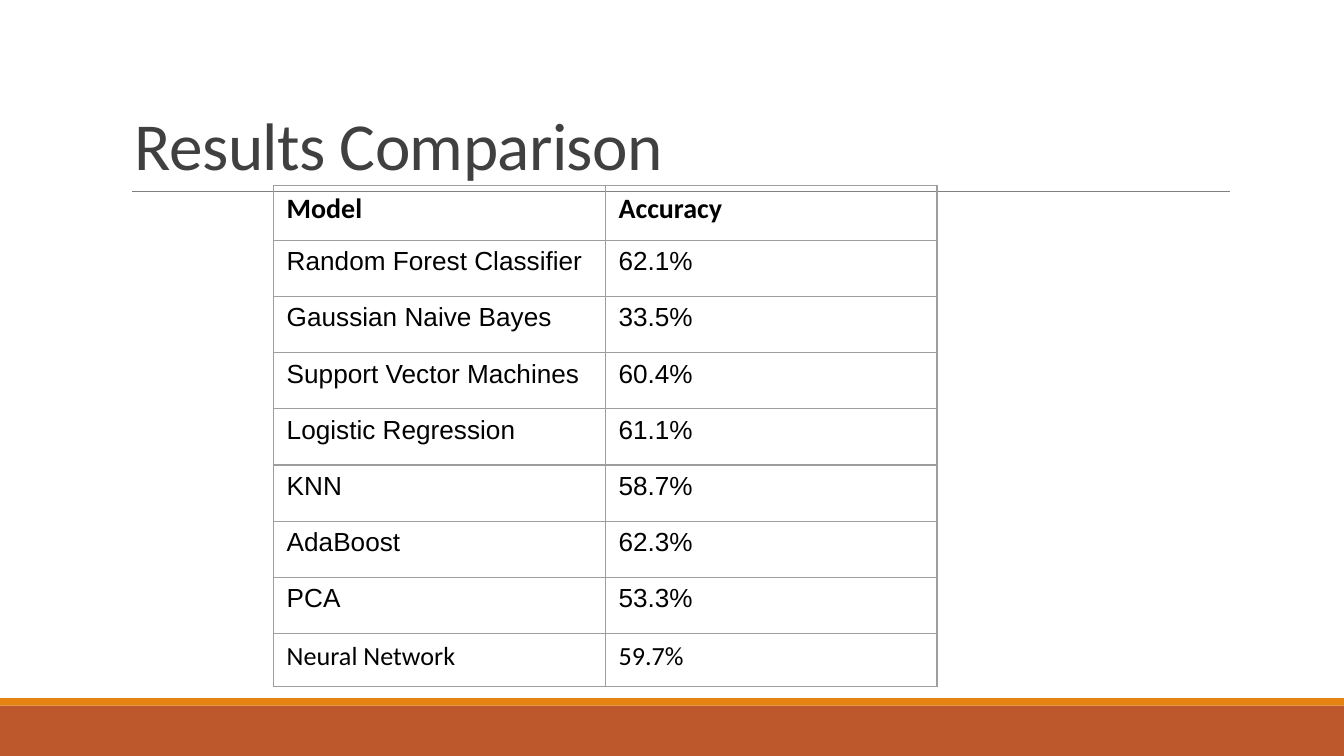
from dataclasses import dataclass

from lxml.etree import SubElement
from pptx import Presentation
from pptx.dml.color import RGBColor as RGB
from pptx.enum.shapes import MSO_CONNECTOR as Connector, MSO_SHAPE as Shape
from pptx.enum.text import MSO_ANCHOR as Anchor, MSO_AUTO_SIZE as AutoSize, PP_ALIGN as Align
from pptx.oxml.ns import qn
from pptx.util import Pt


@dataclass(frozen=True)
class Theme:
    band: RGB = RGB.from_string("BD582C")
    stripe: RGB = RGB.from_string("E48312")
    rule: RGB = RGB.from_string("808080")
    title: RGB = RGB.from_string("404040")
    text: RGB = RGB.from_string("000000")
    border: str = "9E9E9E"
    heading_font: str = "Calibri"
    body_font: str = "Arial"
    title_size: float = 36
    header_size: float = 15
    body_size: float = 14


THEME = Theme()
WIDTH, HEIGHT = 720, 405
RESULTS = [
    ("Model", "Accuracy"),
    ("Random Forest Classifier", "62.1%"),
    ("Gaussian Naive Bayes", "33.5%"),
    ("Support Vector Machines", "60.4%"),
    ("Logistic Regression", "61.1%"),
    ("KNN", "58.7%"),
    ("AdaBoost", "62.3%"),
    ("PCA", "53.3%"),
    ("Neural Network", "59.7%"),
]


def points(*values):
    return [Pt(value) for value in values]


def set_font(font, name, size, color, bold=False):
    font.name = name
    font.size = Pt(size)
    font.color.rgb = color
    font.bold = bold


def add_footer(slide, left, top, width, height):
    """Draw a thin stripe above a solid band."""
    stripe_height = 4
    for y, h, color in (
        (top + stripe_height, height - stripe_height, THEME.band),
        (top, stripe_height, THEME.stripe),
    ):
        bar = slide.shapes.add_shape(Shape.RECTANGLE, *points(left, y, width, h))
        bar.shadow.inherit = False
        bar.fill.solid()
        bar.fill.fore_color.rgb = color
        bar.line.fill.background()


def add_title(slide, text, left, top, width, height):
    """Fill the title placeholder and rule a line along its bottom."""
    title = slide.shapes.title
    title.left, title.top, title.width, title.height = points(left, top, width, height)
    frame = title.text_frame
    frame.text = text
    frame.auto_size = AutoSize.NONE
    frame.vertical_anchor = Anchor.BOTTOM
    paragraph = frame.paragraphs[0]
    paragraph.alignment = Align.LEFT
    paragraph.line_spacing = 0.85
    set_font(paragraph.font, THEME.heading_font, THEME.title_size, THEME.title)
    paragraph.runs[0].font._element.set("spc", "-30")

    bottom = top + height
    rule = slide.shapes.add_connector(
        Connector.STRAIGHT, *points(left + 5.8, bottom, left + width, bottom))
    rule.line.color.rgb = THEME.rule
    rule.line.width = Pt(0.5)
    SubElement(rule._element.spPr, qn("a:effectLst"))


def add_borders(cell):
    properties = cell._tc.get_or_add_tcPr()
    for side in ("L", "R", "T", "B"):
        line = SubElement(properties, qn(f"a:ln{side}"), w=str(Pt(0.75)))
        fill = SubElement(line, qn("a:solidFill"))
        SubElement(fill, qn("a:srgbClr"), val=THEME.border)


def add_results_table(slide, rows, left, top, width, height):
    """The first and last rows are set in the heading font and have own heights."""
    header_height, last_height = 29.5, 28.2
    body_height = (height - header_height - last_height) / (len(rows) - 2)
    heights = [header_height] + [body_height] * (len(rows) - 2) + [last_height]
    table = slide.shapes.add_table(
        len(rows), len(rows[0]), *points(left, top, width, height)).table
    table.first_row = table.horz_banding = False

    for index, values in enumerate(rows):
        table.rows[index].height = Pt(heights[index])
        is_header = index == 0
        is_last = index == len(rows) - 1
        name = THEME.heading_font if is_header or is_last else THEME.body_font
        size = THEME.header_size if is_header else THEME.body_size
        for cell, value in zip(table.rows[index].cells, values):
            cell.text = value
            set_font(cell.text_frame.paragraphs[0].font, name, size, THEME.text, is_header)
            add_borders(cell)
            cell.fill.background()


def main():
    presentation = Presentation()
    presentation.slide_width, presentation.slide_height = points(WIDTH, HEIGHT)
    slide = presentation.slides.add_slide(presentation.slide_layouts[5])
    add_footer(slide, 0, 374, WIDTH, HEIGHT - 374)
    add_title(slide, "Results Comparison", 65, 17, 594, 85.5)
    add_results_table(slide, RESULTS, 146.4, 99.2, 355.6, 268.6)
    presentation.save("out.pptx")


if __name__ == "__main__":
    main()
